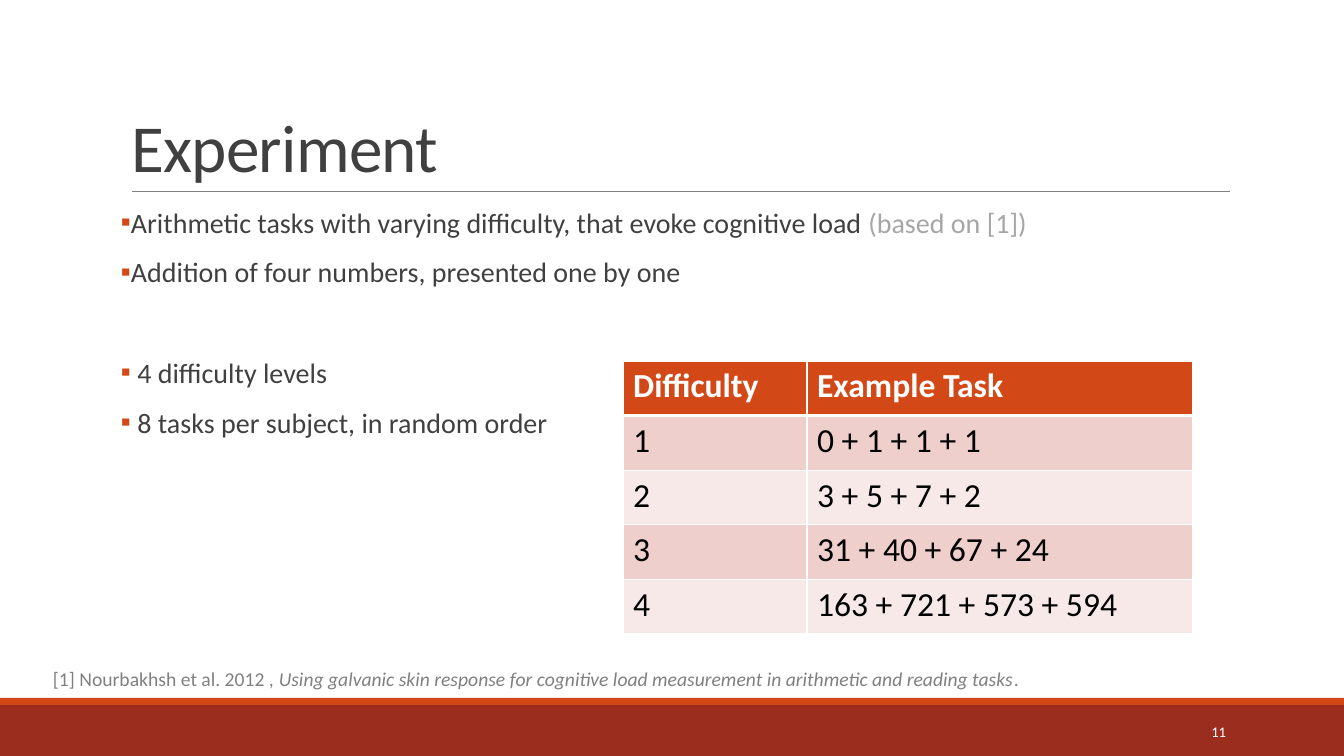
"""Build the slide on the arithmetic experiment."""
from lxml.etree import SubElement as Sub
from pptx import Presentation
from pptx.dml.color import RGBColor
from pptx.enum.shapes import MSO_CONNECTOR as Line, MSO_SHAPE as Kind
from pptx.enum.text import MSO_ANCHOR as Anchor, MSO_AUTO_SIZE as Auto, PP_ALIGN as Align
from pptx.oxml.ns import qn
from pptx.util import Pt

WIDE, HIGH = 1344, 756
SCALE = 12192000 / WIDE
RED, ORANGE, DARK, GREY, WHITE = "9B2D1F", "D34817", "404040", "808080", "FFFFFF"


def px(size):
    """Turn pixels into EMU."""
    return round(size * SCALE)


def rgb(code):
    """Turn a hex string into a colour."""
    return RGBColor.from_string(code)


def write(para, text, size=20, color=DARK, bold=False, italic=False):
    """Add one formatted run to a paragraph."""
    run = para.add_run()
    run.text = text
    font = run.font
    font.name, font.size, font.bold, font.italic = "Calibri", Pt(size), bold, italic
    font.color.rgb = rgb(color)
    return run


def text_box(slide, box):
    """Add an empty wrapping text box and return its frame."""
    frame = slide.shapes.add_textbox(*map(px, box)).text_frame
    frame.word_wrap = True
    return frame


def bar(slide, box, color):
    """Add a plain filled bar."""
    shape = slide.shapes.add_shape(Kind.RECTANGLE, *map(px, box))
    shape.shadow.inherit = False
    shape.fill.solid()
    shape.fill.fore_color.rgb = rgb(color)
    shape.line.fill.background()


def footer(slide, box, page):
    """Draw the bottom band with its stripe and page number."""
    left, top, width, height = box
    bar(slide, (left, top + 7, width, height - 7), RED)
    bar(slide, (left, top, width, 7), ORANGE)
    frame = text_box(slide, (left + 1092, top + 14, 144, 40))
    frame.vertical_anchor = Anchor.MIDDLE
    para = frame.paragraphs[0]
    para.alignment = Align.RIGHT
    write(para, page, size=10.5, color=WHITE)


def heading(slide, box, text):
    """Place the title and the rule below it."""
    left, top, width, height = box
    title = slide.shapes.title
    title.left, title.top, title.width, title.height = map(px, box)
    frame = title.text_frame
    frame.auto_size, frame.vertical_anchor = Auto.NONE, Anchor.BOTTOM
    para = frame.paragraphs[0]
    para.alignment, para.line_spacing = Align.LEFT, 0.85
    run = write(para, text, size=48)
    run.font._element.set("spc", "-50")
    base = top + height
    ends = (left + 11, base, left + width + 1, base)
    rule = slide.shapes.add_connector(Line.STRAIGHT, *map(px, ends))
    rule.line.color.rgb, rule.line.width = rgb(GREY), Pt(0.5)
    Sub(rule._element.spPr, qn("a:effectLst"))


def bullets(slide, box, items):
    """List items of space before and coloured runs, with square bullets."""
    frame = text_box(slide, box)
    frame.margin_left = frame.margin_right = 0
    for index, (space, parts) in enumerate(items):
        para = frame.add_paragraph() if index else frame.paragraphs[0]
        para.line_spacing = 0.9
        para.space_before, para.space_after = Pt(space), Pt(2)
        props = para._p.get_or_add_pPr()
        props.set("marL", str(px(10)))
        props.set("indent", str(-px(10)))
        Sub(Sub(props, qn("a:buClr")), qn("a:srgbClr"), val=ORANGE)
        Sub(props, qn("a:buFont"), typeface="Calibri")
        Sub(props, qn("a:buChar"), char="▪")
        for text, color in parts:
            write(para, text, color=color)


def border(cell, side, width):
    """Give one side of a cell a white border."""
    line = Sub(cell._tc.get_or_add_tcPr(), qn("a:ln" + side), w=str(Pt(width)))
    Sub(Sub(line, qn("a:solidFill")), qn("a:srgbClr"), val=WHITE)


def task_table(slide, box, widths, rows):
    """Draw the table with an orange head and banded rows."""
    table = slide.shapes.add_table(len(rows), len(widths), *map(px, box)).table
    for col, width in zip(table.columns, widths):
        col.width = px(width)
    for r, row in enumerate(rows):
        table.rows[r].height = px(box[3] / len(rows))
        head = r == 0
        fill = ORANGE if head else ("F7E9E8", "EFCFCC")[r % 2]
        for c, text in enumerate(row):
            cell = table.cell(r, c)
            for side in "LRTB":
                thick = (side == "B" and head) or (side == "T" and r == 1)
                border(cell, side, 3 if thick else 1)
            cell.fill.solid()
            cell.fill.fore_color.rgb = rgb(fill)
            write(cell.text_frame.paragraphs[0], text, size=24,
                  color=WHITE if head else "000000", bold=head)


def source(slide, box, lead, work):
    """Write the reference line with the work in italics."""
    para = text_box(slide, box).paragraphs[0]
    for text, slant in ((lead, False), (work, True), (".", False)):
        write(para, text, size=14, color=GREY, italic=slant)


def main():
    """Build and save the deck."""
    deck = Presentation()
    deck.slide_width, deck.slide_height = px(WIDE), px(HIGH)
    slide = deck.slides.add_slide(deck.slide_layouts[5])
    footer(slide, (0, 698, WIDE, 58), "11")
    heading(slide, (121, 31, 1108, 160), "Experiment")
    bullets(slide, (121, 204, 1109, 444), [
        (12, [("Arithmetic tasks with varying difficulty, that evoke cognitive load ", DARK),
              ("(based on [1])", "A6A6A6")]),
        (12, [("Addition of four numbers, presented one by one", DARK)]),
        (48, [(" 4 difficulty levels", DARK)]),
        (12, [(" 8 tasks per subject, in random order", DARK)]),
    ])
    task_table(slide, (623, 361, 570, 273), (184, 386), [
        ("Difficulty", "Example Task"),
        ("1", "0 + 1 + 1 + 1"),
        ("2", "3 + 5 + 7 + 2"),
        ("3", "31 + 40 + 67 + 24"),
        ("4", "163 + 721 + 573 + 594"),
    ])
    source(slide, (43, 662, 1186, 34), "[1] Nourbakhsh et al. 2012 , ",
           "Using galvanic skin response for cognitive load measurement "
           "in arithmetic and reading tasks")
    deck.save("out.pptx")


if __name__ == "__main__":
    main()
